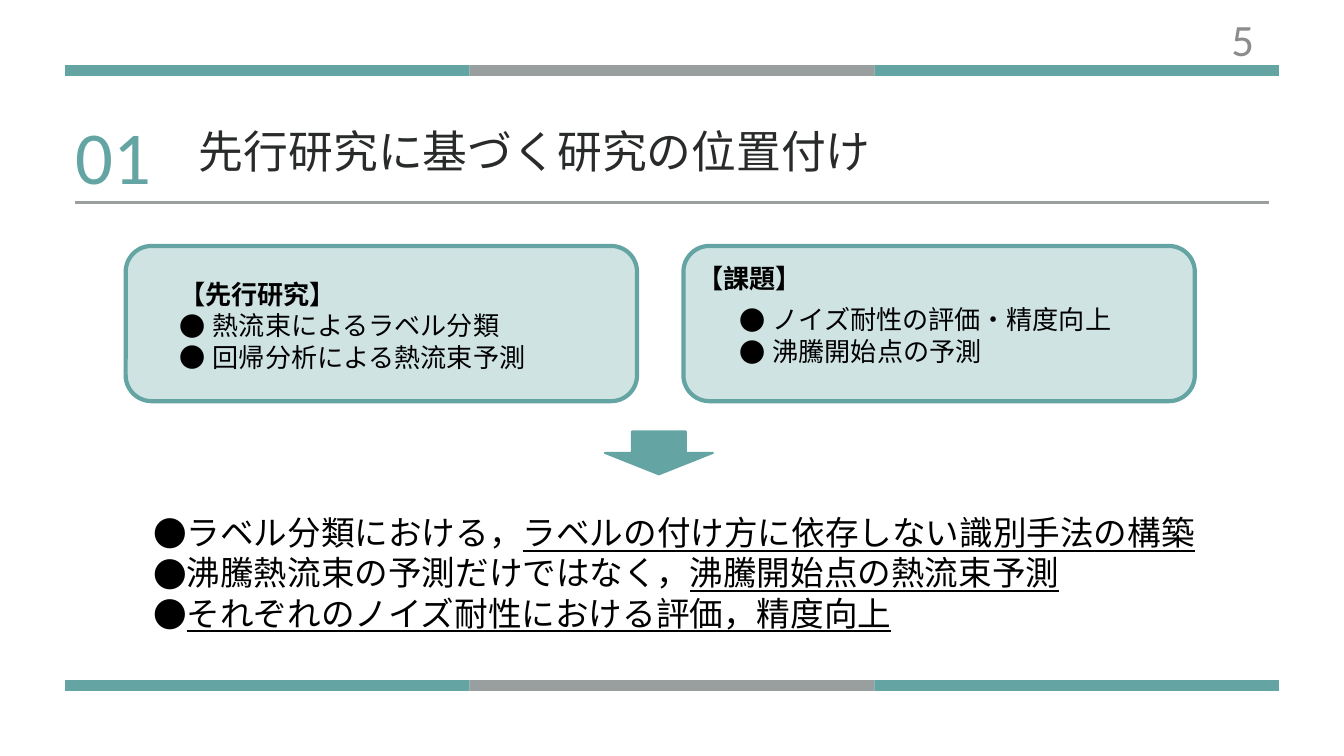
import pptx
import pptx.dml.color
import pptx.enum.shapes
import pptx.enum.text
import pptx.oxml
import pptx.oxml.ns
import pptx.util
from pptx.util import Inches

COLORS = {"teal": "64A4A3", "gray": "999F9F", "pale": "CFE3E3",
          "title": "292B2B", "number": "8C8C8C", "text": "000000"}
JAPANESE = "Noto Sans CJK SC"
LATIN = "Calibri"
SHAPES = pptx.enum.shapes.MSO_SHAPE
ALIGN = pptx.enum.text.PP_ALIGN
ANCHOR = pptx.enum.text.MSO_ANCHOR


def rgb(name):
    """Return the named palette colour."""
    return pptx.dml.color.RGBColor.from_string(COLORS[name])


def add_element(parent, tag, **attributes):
    """Append a drawing element with attributes to its parent."""
    element = pptx.oxml.parse_xml(f"<a:{tag} {pptx.oxml.ns.nsdecls('a')}/>")
    for key, value in attributes.items():
        element.set(key, value)
    parent.append(element)


def add_span(para, text, size, color="text", font=JAPANESE, **styles):
    """Add one formatted run to a paragraph."""
    span = para.add_run()
    span.text = text
    values = {"size": pptx.util.Pt(size), "name": font, **styles}
    for key, value in values.items():
        setattr(span.font, key, value)
    span.font.color.rgb = rgb(color)
    add_element(span.font._element, "ea", typeface=font)


def set_bullet(para):
    """Give a paragraph a round bullet and a hanging indent."""
    properties = para._p.get_or_add_pPr()
    indent = Inches(0.5)
    properties.set("marL", str(indent))
    properties.set("indent", str(-indent))
    add_element(properties, "buFont", typeface=JAPANESE)
    add_element(properties, "buChar", char="●")


def prepare_frame(box, margins=None, anchor=ANCHOR.TOP):
    """Set wrapping, anchor and optional equal margins of a text frame."""
    frame = box.text_frame
    values = {"word_wrap": True, "vertical_anchor": anchor,
              "auto_size": pptx.enum.text.MSO_AUTO_SIZE.NONE}
    if margins is not None:
        for side in ("left", "top", "right", "bottom"):
            values[f"margin_{side}"] = Inches(margins)
    for key, value in values.items():
        setattr(frame, key, value)
    return frame


def add_line(page, text, left, top, width, height, margins=None,
             anchor=ANCHOR.TOP, align=ALIGN.LEFT, spacing=None, **styles):
    """Add a text box that holds one line."""
    box = page.shapes.add_textbox(*map(Inches, (left, top, width, height)))
    para = prepare_frame(box, margins, anchor).paragraphs[0]
    para.alignment = align
    para.line_spacing = spacing
    add_span(para, text, **styles)


def add_list(page, items, size, left, top, width, height, heading=None):
    """Add bulleted items of (plain, underlined) text below an optional heading."""
    box = page.shapes.add_textbox(*map(Inches, (left, top, width, height)))
    frame = prepare_frame(box)
    para = frame.paragraphs[0]
    if heading:
        add_span(para, heading, size, bold=True)
    for index, (plain, underlined) in enumerate(items):
        if heading or index:
            para = frame.add_paragraph()
        set_bullet(para)
        if plain:
            add_span(para, plain, size)
        if underlined:
            add_span(para, underlined, size, underline=True)


def add_block(page, kind, fill, left, top, width, height, line=None):
    """Add a filled preset shape, outlined in teal if a line width is given."""
    shape = page.shapes.add_shape(kind, *map(Inches, (left, top, width, height)))
    shape.shadow.inherit = False
    shape.fill.solid()
    shape.fill.fore_color.rgb = rgb(fill)
    if line:
        shape.line.color.rgb = rgb("teal")
        shape.line.width = pptx.util.Pt(line)
    else:
        shape.line.fill.background()


def add_band(page, left, top, width, height):
    """Add a band of three equal coloured segments."""
    segment = width / 3
    for index, color in enumerate(("teal", "gray", "teal")):
        add_block(page, SHAPES.RECTANGLE, color,
                  left + index * segment, top, segment, height)


def add_header(page, left, top, width, height):
    """Place the section number, the title and the rule below them."""
    title = page.shapes.title
    bounds = {"left": left + 1.84, "top": top + 0.42, "width": 11.45, "height": 0.8}
    for key, value in bounds.items():
        setattr(title, key, Inches(value))
    para = prepare_frame(title, 0).paragraphs[0]
    para.alignment = ALIGN.LEFT
    para.line_spacing = pptx.util.Pt(58.8)
    add_span(para, "先行研究に基づく研究の位置付け", 48, "title")
    add_line(page, "01", left, top, 2.91, 1.47, margins=0,
             spacing=pptx.util.Pt(112), size=80, color="teal", font=LATIN)
    bottom = Inches(top + height)
    rule = page.shapes.add_connector(
        pptx.enum.shapes.MSO_CONNECTOR.STRAIGHT,
        Inches(left), bottom, Inches(left + width), bottom)
    rule.line.color.rgb = rgb("gray")
    rule.line.width = pptx.util.Pt(3)
    add_element(rule._element.spPr, "effectLst")


def add_prior_work(page, left, top, width, height):
    """Place the card on prior work."""
    add_block(page, SHAPES.ROUNDED_RECTANGLE, "pale", left, top, width, height, 4.5)
    items = [("熱流束によるラベル分類", ""), ("回帰分析による熱流束予測", "")]
    add_list(page, items, 28, left + 0.7, top + 0.43, 7.23, 1.51, "【先行研究】")


def add_issues(page, left, top, width, height):
    """Place the card on open issues."""
    add_block(page, SHAPES.ROUNDED_RECTANGLE, "pale", left, top, width, height, 4.5)
    add_line(page, "【課題】", left + 0.11, top + 0.19, 1.89, 0.57, size=28, bold=True)
    items = [("ノイズ耐性の評価・精度向上", ""), ("沸騰開始点の予測", "")]
    add_list(page, items, 28, left + 0.73, top + 0.81, 7.23, 1.04)


def add_goals(page, left, top, width, height):
    """Place the list of research goals."""
    items = [("ラベル分類における，", "ラベルの付け方に依存しない識別手法の構築"),
             ("沸騰熱流束の予測だけではなく，", "沸騰開始点の熱流束予測"),
             ("", "それぞれのノイズ耐性における評価，精度向上")]
    add_list(page, items, 36, left, top, width, height)


def main():
    """Build and save the slide."""
    deck = pptx.Presentation()
    deck.slide_width, deck.slide_height = Inches(20), Inches(11.25)
    page = deck.slides.add_slide(deck.slide_layouts[5])
    for top in (0.97, 10.12):
        add_band(page, 0.97, top, 18.06, 0.16)
    add_header(page, 1.12, 1.41, 17.76, 1.6)
    add_line(page, "5", 16.43, 0.38, 2.33, 0.4, anchor=ANCHOR.MIDDLE,
             align=ALIGN.RIGHT, size=48, color="number", font=LATIN)
    add_prior_work(page, 1.87, 3.66, 7.61, 2.31)
    add_issues(page, 10.17, 3.66, 7.61, 2.31)
    add_block(page, SHAPES.DOWN_ARROW, "teal", 9, 6.42, 1.61, 0.64, 2)
    add_goals(page, 2.18, 7.57, 16.58, 1.92)
    deck.save("out.pptx")


if __name__ == "__main__":
    main()
